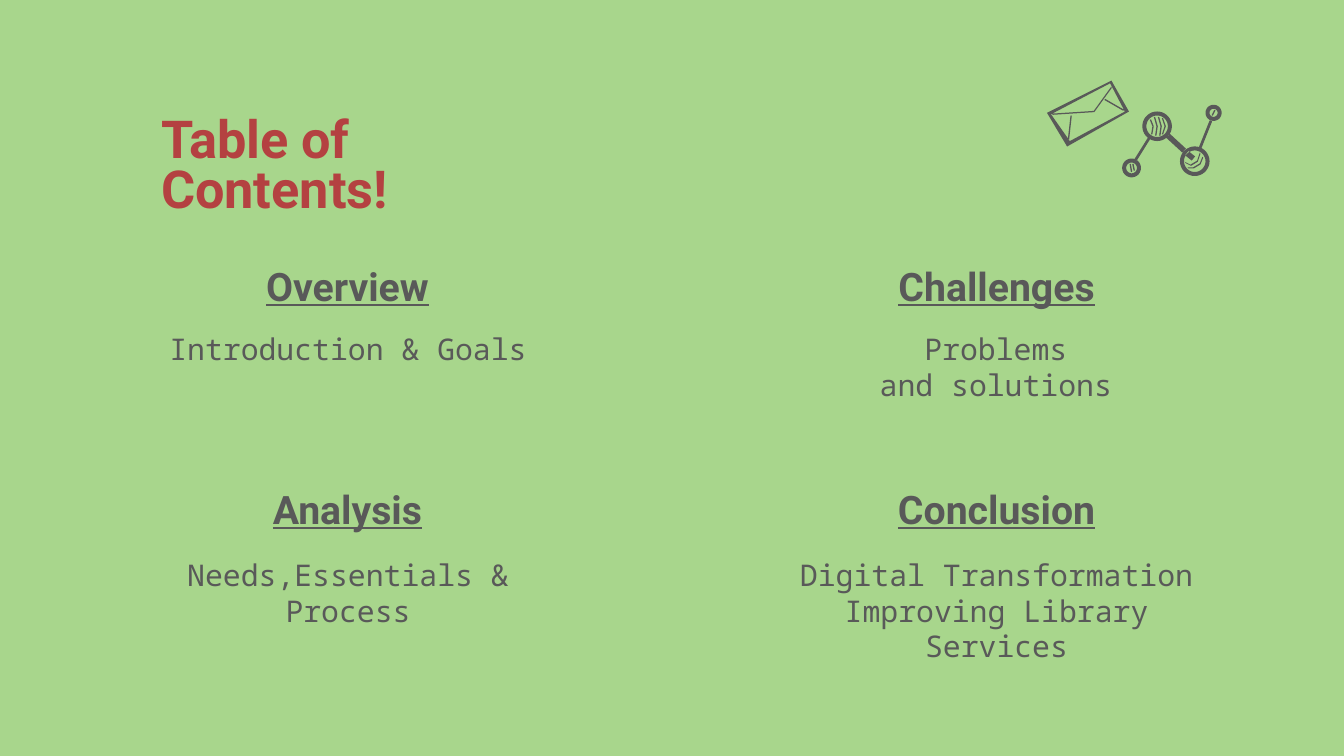
from math import cos, hypot, radians, sin

from pptx import Presentation
from pptx.dml.color import RGBColor
from pptx.enum.text import MSO_ANCHOR, PP_ALIGN
from pptx.util import Inches, Pt

GREEN = RGBColor(0xA8, 0xD6, 0x8C)
RED = RGBColor(0xB4, 0x41, 0x41)
GRAY = RGBColor(0x59, 0x59, 0x59)
TOP, BOTTOM = MSO_ANCHOR.TOP, MSO_ANCHOR.BOTTOM
LEFT, CENTER = PP_ALIGN.LEFT, PP_ALIGN.CENTER

TITLE = {"name": "Roboto", "size": Pt(28), "bold": True}
HEADING = {"name": "Roboto", "size": Pt(21), "bold": True, "underline": True}
BODY = {"name": "Noto Sans Mono", "size": Pt(16)}

SECTIONS = [
    ("Overview", (0.99, 1.87), ["Introduction & Goals"], (1.02, 2.36, 3.14, 0.78)),
    ("Challenges", (5.82, 1.87), ["Problems", "and solutions"], (5.84, 2.36, 3.14, 0.78)),
    ("Analysis", (0.99, 3.53), ["Needs,Essentials & Process"], (1.02, 4.04, 3.14, 0.78)),
    ("Conclusion", (5.82, 3.53), ["Digital Transformation Improving Library Services"],
     (5.67, 4.04, 3.49, 0.95)),
]

ENVELOPE_EDGE = [(7.79, 0.84), (8.27, 0.6), (8.4, 0.83), (7.94, 1.09)]
ENVELOPE_HOLE = [(7.96, 1.05), (8.37, 0.83), (8.26, 0.62), (7.82, 0.85)]
FOLDS = [
    [(7.83, 0.85), (8.14, 0.83), (8.27, 0.65)],
    [(7.97, 0.86), (7.95, 1.04)],
    [(8.22, 0.74), (8.36, 0.82)],
]
ATOMS = [
    (8.61, 0.94, 0.11, 0.08),
    (8.89, 1.2, 0.11, 0.08),
    (8.42, 1.25, 0.07, 0.04),
    (9.03, 0.84, 0.06, 0.03),
]
BONDS = [
    ([(8.45, 1.19), (8.55, 1.03)], 0.02),
    ([(8.69, 1.01), (8.81, 1.12)], 0.04),
    ([(8.83, 1.14), (8.88, 1.18)], 0.04),
    ([(8.93, 1.1), (9.01, 0.9)], 0.02),
]
STRIPES = [
    [(8.56, 0.89), (8.58, 0.94), (8.57, 1)],
    [(8.59, 0.87), (8.61, 0.94), (8.6, 1.01)],
    [(8.62, 0.87), (8.64, 0.94), (8.63, 1.01)],
    [(8.65, 0.88), (8.67, 0.94), (8.65, 1)],
    [(8.82, 1.21), (8.86, 1.23), (8.91, 1.2), (8.93, 1.14)],
    [(8.84, 1.25), (8.88, 1.25), (8.93, 1.22), (8.95, 1.17)],
    [(8.41, 1.22), (8.42, 1.28)],
    [(8.43, 1.22), (8.44, 1.27)],
    [(9.02, 0.86), (9.04, 0.82)],
]


def circle(x, y, radius):
    """Return the corners of a round contour."""
    angles = [radians(10 * step) for step in range(36)]
    return [(x + radius * cos(angle), y + radius * sin(angle)) for angle in angles]


def band(points, width):
    """Return the contour of a strip along the points."""
    run, rise = points[-1][0] - points[0][0], points[-1][1] - points[0][1]
    half = width / 2 / hypot(run, rise)
    across, down = rise * half, run * half
    near = [(x + across, y - down) for x, y in points]
    far = [(x - across, y + down) for x, y in points]
    return near + far[::-1]


class Page:
    """Holds the slide and its ink colour, and draws each kind of element."""

    def __init__(self, slide, ink):
        self.shapes = slide.shapes
        self.ink = ink
        slide.background.fill.solid()
        slide.background.fill.fore_color.rgb = GREEN

    def text(self, lines, place, style, color, align=CENTER, anchor=TOP, spacing=1.0):
        """Add a text box with one paragraph a line."""
        box = self.shapes.add_textbox(*map(Inches, place))
        frame = box.text_frame
        margins = dict.fromkeys(
            ("margin_left", "margin_top", "margin_right", "margin_bottom"), Inches(0.1))
        for key, value in {**margins, "word_wrap": True, "vertical_anchor": anchor}.items():
            setattr(frame, key, value)
        for index, line in enumerate(lines):
            para = frame.add_paragraph() if index else frame.paragraphs[0]
            para.alignment = align
            para.line_spacing = spacing
            span = para.add_run()
            span.text = line
            span.font.color.rgb = color
            for key, value in style.items():
                setattr(span.font, key, value)

    def icon(self, contours):
        """Add one filled outline made of several contours."""
        outlines = [[(Inches(x), Inches(y)) for x, y in contour] for contour in contours]
        builder = self.shapes.build_freeform(*outlines[0][0])
        for index, corners in enumerate(outlines):
            if index:
                builder.move_to(*corners[0])
            builder.add_line_segments(corners[1:], close=True)
        shape = builder.convert_to_shape()
        shape.shadow.inherit = False
        shape.fill.solid()
        shape.fill.fore_color.rgb = self.ink
        shape.line.fill.background()


def main():
    """Build and save the deck."""
    deck = Presentation()
    deck.slide_width, deck.slide_height = Inches(10), Inches(10 * 9 / 16)
    page = Page(deck.slides.add_slide(deck.slide_layouts[6]), GRAY)

    page.text(["Table of Contents!"], (1.1, 0.78, 2.63, 0.63), TITLE, RED,
              align=LEFT, spacing=0.8)

    molecule = []
    for x, y, outer, inner in ATOMS:
        molecule += [circle(x, y, outer), circle(x, y, inner)[::-1]]
    molecule += [band(points, width) for points, width in BONDS]
    molecule += [band(points, 0.01) for points in STRIPES]
    page.icon(molecule)
    page.icon([ENVELOPE_EDGE, ENVELOPE_HOLE] + [band(points, 0.01) for points in FOLDS])

    for heading, corner, lines, place in SECTIONS:
        page.text([heading], (*corner, 3.19, 0.53), HEADING, GRAY, anchor=BOTTOM)
        page.text(lines, place, BODY, GRAY)

    deck.save("out.pptx")


if __name__ == "__main__":
    main()
